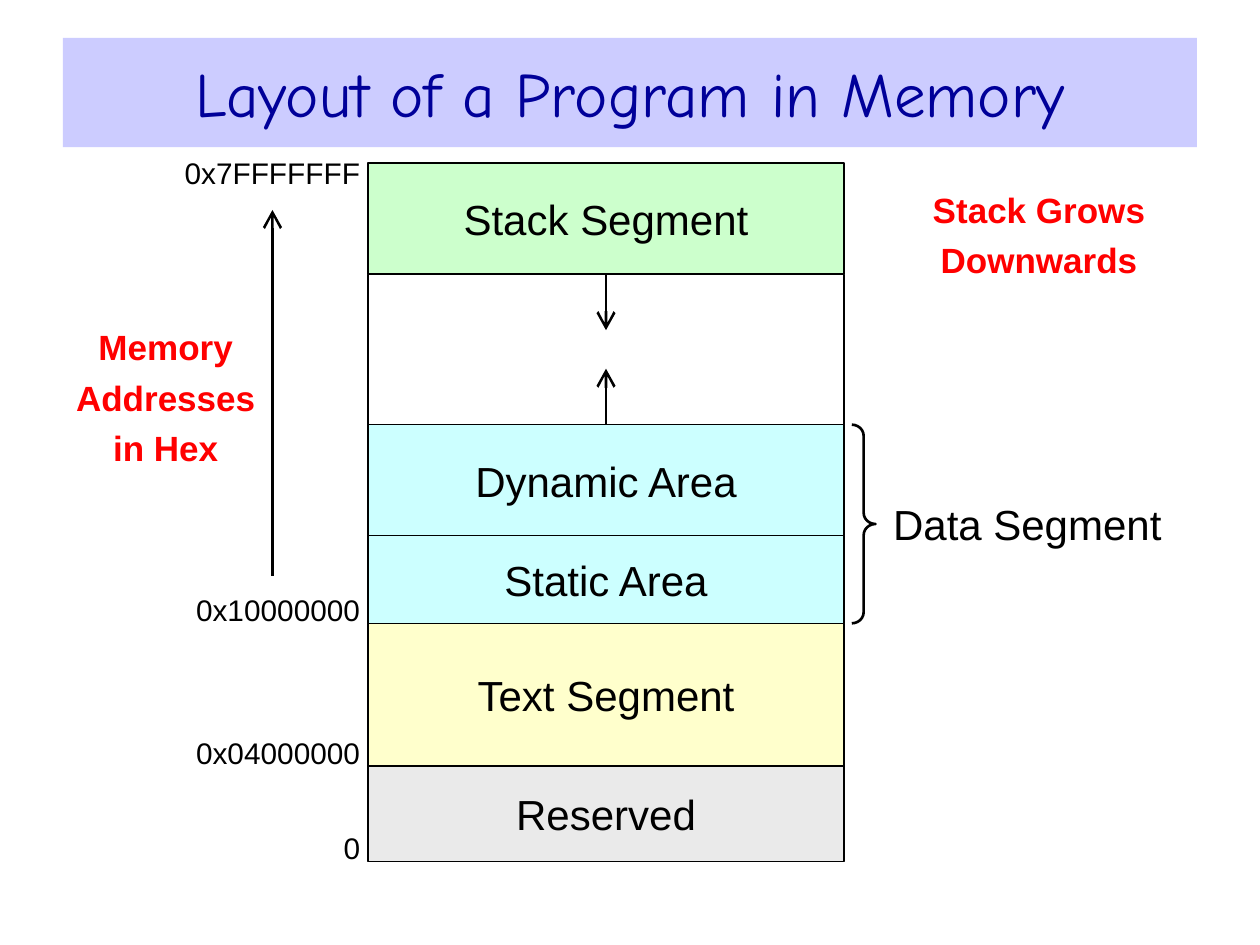
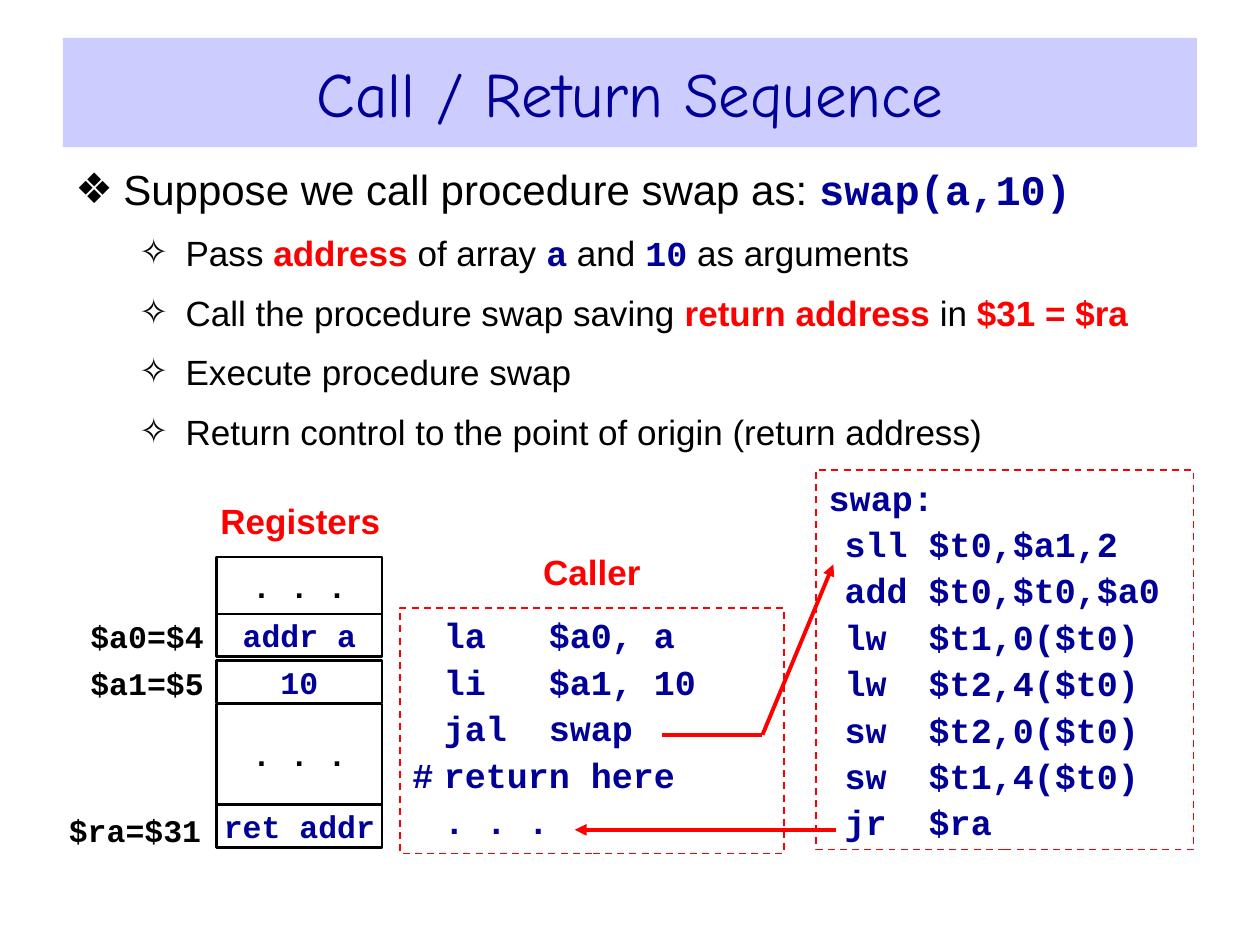
from lxml import etree
from pptx import Presentation
from pptx import util as u
from pptx.dml import color
from pptx.enum import dml, shapes, text
from pptx.oxml import ns

Pt = u.Pt
BLACK, NAVY, RED, WHITE, LAVENDER = "000000", "000099", "FF0000", "FFFFFF", "CCCCFF"
SANS, MONO, TITLE_FONT = "Arial", "Courier New", "Comic Neue"
LEFT, CENTER, RIGHT = text.PP_ALIGN.LEFT, text.PP_ALIGN.CENTER, text.PP_ALIGN.RIGHT
TOP, MIDDLE = text.MSO_ANCHOR.TOP, text.MSO_ANCHOR.MIDDLE
OPEN_HEAD = dict(type="arrow", w="lg", len="lg")
SOLID_HEAD = dict(type="triangle")


def rgb(value):
    """Turn a hex string into a colour."""
    return color.RGBColor.from_string(value)


def add_child(parent, tag, **attributes):
    """Append a DrawingML element."""
    return etree.SubElement(parent, ns.qn("a:" + tag), **attributes)


def style_run(run, size, hue=BLACK, bold=False, font=SANS):
    """Set the font of one run."""
    run.font.name, run.font.size, run.font.bold = font, Pt(size), bold
    run.font.color.rgb = rgb(hue)


def add_box(slide, box, fill=None, line=None, width=0.75, preset="RECTANGLE"):
    """Add a preset shape with a plain fill and outline."""
    shape = slide.shapes.add_shape(shapes.MSO_SHAPE[preset], *map(Pt, box))
    shape.shadow.inherit = False
    if fill:
        shape.fill.solid()
        shape.fill.fore_color.rgb = rgb(fill)
    else:
        shape.fill.background()
    if line:
        shape.line.color.rgb = rgb(line)
        shape.line.width = Pt(width)
    else:
        shape.line.fill.background()
    return shape


def write(shape, words, size, hue=BLACK, bold=False, font=SANS, align=CENTER,
          anchor=MIDDLE, inset=(0, 0), before=0, spacing=None, tab=None):
    """Fill a shape with uniformly styled paragraphs."""
    frame = shape.text_frame
    frame.text, frame.word_wrap, frame.vertical_anchor = words, True, anchor
    frame.margin_left = frame.margin_right = Pt(inset[0])
    frame.margin_top = frame.margin_bottom = Pt(inset[1])
    for paragraph in frame.paragraphs:
        paragraph.alignment = align
        paragraph.space_before = Pt(before)
        if spacing:
            paragraph.line_spacing = spacing
        if tab:
            stops = add_child(paragraph._p.get_or_add_pPr(), "tabLst")
            add_child(stops, "tab", pos=str(Pt(tab)), algn="l")
        for run in paragraph.runs:
            style_run(run, size, hue, bold, font)


def add_label(slide, box, words, size, **style):
    """Add a text box."""
    write(slide.shapes.add_textbox(*map(Pt, box)), words, size, **style)


def add_line(slide, start, end, hue=BLACK, width=1.5, head=None):
    """Draw a straight line, with an arrowhead at its end if asked."""
    line = slide.shapes.add_connector(shapes.MSO_CONNECTOR.STRAIGHT, *map(Pt, start + end))
    line.line.color.rgb = rgb(hue)
    line.line.width = Pt(width)
    if head:
        add_child(line.line._get_or_add_ln(), "tailEnd", **head)
    add_child(line._element.spPr, "effectLst")


def add_titled_slide(presentation, title):
    """Add a blank slide with the title band."""
    slide = presentation.slides.add_slide(presentation.slide_layouts[6])
    band = add_box(slide, (36, 21.6, 648, 62.6), LAVENDER)
    write(band, title, 36, NAVY, font=TITLE_FONT, inset=(7.2, 3.6))
    return slide


def draw_memory_map(slide, left, top, width):
    """Stack the segments with their addresses, growth arrows and brace."""
    segments = [
        ("Stack Segment", 63.5, "CCFFCC", None),
        ("", 86, None, None),
        ("Dynamic Area", 63.5, "CCFFFF", None),
        ("Static Area", 50, "CCFFFF", "0x10000000"),
        ("Text Segment", 81.5, "FFFFCC", "0x04000000"),
        ("Reserved", 54.5, "EAEAEA", "0"),
    ]

    def add_address(y, address):
        """Put an address beside the map."""
        add_label(slide, (left - 127, y, 122.5, 22.5), address, 17,
                  align=RIGHT, anchor=TOP, before=12.5)

    add_address(top - 4.5, "0x7FFFFFFF")
    edges = [top]
    for name, height, fill, address in segments:
        shape = add_box(slide, (left, edges[-1], width, height), fill, BLACK)
        if name:
            write(shape, name, 24, before=15)
        edges.append(edges[-1] + height)
        if address:
            add_address(edges[-1] - 18, address)

    middle = left + width / 2
    for edge, reach in ((edges[1], 32), (edges[2], -32)):
        add_line(slide, (middle, edge), (middle, edge + reach), head=OPEN_HEAD)

    data_top, data_height = edges[2], edges[4] - edges[2]
    brace = add_box(slide, (left + width + 4.5, data_top, 13.5, data_height),
                    None, BLACK, 1.5, "RIGHT_BRACE")
    brace.adjustments[0] = 0.47
    add_label(slide, (left + width + 23, data_top, 163.5, data_height),
              "Data Segment", 24, before=15)


def draw_memory_notes(slide, left, top):
    """Place the red remarks and the address arrow."""
    style = dict(hue=RED, bold=True, spacing=1.2)
    add_line(slide, (left + 117.5, top + 231), (left + 117.5, top + 22), head=OPEN_HEAD)
    add_label(slide, (left, top + 76.5, 113, 100), "Memory\nAddresses\nin Hex", 20, **style)
    add_label(slide, (left + 489.5, top, 132, 67.5), "Stack Grows\nDownwards", 20, **style)


def draw_call_steps(slide, box):
    """Write the bulleted steps of a procedure call."""
    red = dict(hue=RED, bold=True)
    code = dict(hue=NAVY, bold=True, font=MONO)
    steps = [
        [("Suppose we call procedure swap as: ", {}), ("swap(a,10)", code)],
        [("Pass ", {}), ("address", red), (" of array ", {}), ("a", code),
         (" and ", {}), ("10", code), (" as arguments", {})],
        [("Call the procedure swap saving ", {}), ("return address", red),
         (" in ", {}), ("$31 = $ra", red)],
        [("Execute procedure swap", {})],
        [("Return control to the point of origin (return address)", {})],
    ]
    frame = slide.shapes.add_textbox(*map(Pt, box)).text_frame
    frame.word_wrap = True
    for index, step in enumerate(steps):
        paragraph = frame.add_paragraph() if index else frame.paragraphs[0]
        level, size, before, margin, hang, bullet = (
            (1, 20, 10, 63, 26.6, "✧") if index else (0, 24, 12, 27.4, 27.4, "❖"))
        paragraph.level, paragraph.space_before = level, Pt(before)
        properties = paragraph._p.get_or_add_pPr()
        properties.set("marL", str(Pt(margin)))
        properties.set("indent", str(-Pt(hang)))
        add_child(add_child(properties, "buClr"), "srgbClr", val=BLACK)
        add_child(properties, "buFont", typeface=SANS)
        add_child(properties, "buChar", char=bullet)
        for words, style in step:
            run = paragraph.add_run()
            run.text = words
            style_run(run, size, **style)


def draw_registers(slide, left, top, width):
    """Draw the register column with the names beside it."""
    add_label(slide, (left - 4.5, top - 36.3, width + 10, 31.5), "Registers", 20,
              hue=RED, bold=True, anchor=TOP, inset=(0, 3.6), before=2.5)
    style = dict(bold=True, font=MONO, inset=(0, 1.4), before=2.2)
    registers = [
        (0, 32.5, ". . .", BLACK, None, 0),
        (32.5, 24.5, "addr a", NAVY, "$a0=$4", 0.5),
        (59, 24.5, "10", NAVY, "$a1=$5", 0.5),
        (84, 57.5, ". . .", BLACK, None, 0),
        (141.5, 24.5, "ret addr", NAVY, "$ra=$31", 2),
    ]
    for offset, height, value, hue, name, shift in registers:
        y = top + offset
        cell = add_box(slide, (left, y, width, height), WHITE, BLACK, 1.5)
        write(cell, value, 18, hue, **style)
        if name:
            add_label(slide, (left - 93.5 - shift, y + shift, 86.5, height), name, 18,
                      align=RIGHT, **style)


def draw_code(slide, box, lines, tab):
    """Draw a dashed frame with code lines."""
    shape = add_box(slide, box, WHITE, RED, 1)
    shape.line.dash_style = dml.MSO_LINE.DASH
    write(shape, "\n".join(lines), 20, NAVY, True, MONO, LEFT, TOP, (7.2, 3.6), 2.5, tab=tab)


def draw_call_flow(slide, left, top):
    """Draw the caller, the procedure and the arrows between them."""
    procedure = ["swap:", "\tsll $t0,$a1,2", "\tadd $t0,$t0,$a0", "\tlw  $t1,0($t0)",
                 "\tlw  $t2,4($t0)", "\tsw  $t2,0($t0)", "\tsw  $t1,4($t0)", "\tjr  $ra"]
    caller = ["\tla   $a0, a", "\tli   $a1, 10", "\tjal  swap", "#\treturn here", "\t. . ."]
    draw_code(slide, (left + 238, top, 215.5, 217), procedure, 9.1)
    draw_code(slide, (left, top + 78.8, 219.5, 140.5), caller, 18)
    add_label(slide, (left + 70, top + 42.8, 79.5, 31.5), "Caller", 20, hue=RED,
              bold=True, anchor=TOP, inset=(7.2, 3.6), before=2.5)

    red_line = dict(hue=RED, width=2.25)
    bend = (left + 207.2, top + 151.4)
    add_line(slide, bend, (left + 247.7, top + 54), head=SOLID_HEAD, **red_line)
    add_line(slide, (left + 149.7, top + 151.4), bend, **red_line)
    add_line(slide, (left + 249.5, top + 205.7), (left + 100, top + 205.7),
             head=SOLID_HEAD, **red_line)


def main():
    """Build both slides and save them."""
    presentation = Presentation()
    presentation.slide_width, presentation.slide_height = Pt(720), Pt(540)

    slide = add_titled_slide(presentation, "Layout of a Program in Memory")
    draw_memory_map(slide, 210.3, 93.2, 272)
    draw_memory_notes(slide, 38.2, 98)

    slide = add_titled_slide(presentation, "Call / Return Sequence")
    draw_call_steps(slide, (36, 90, 648, 405))
    draw_call_flow(slide, 228.5, 268.5)
    draw_registers(slide, 123.9, 318.3, 94.4)

    presentation.save("out.pptx")


if __name__ == "__main__":
    main()
